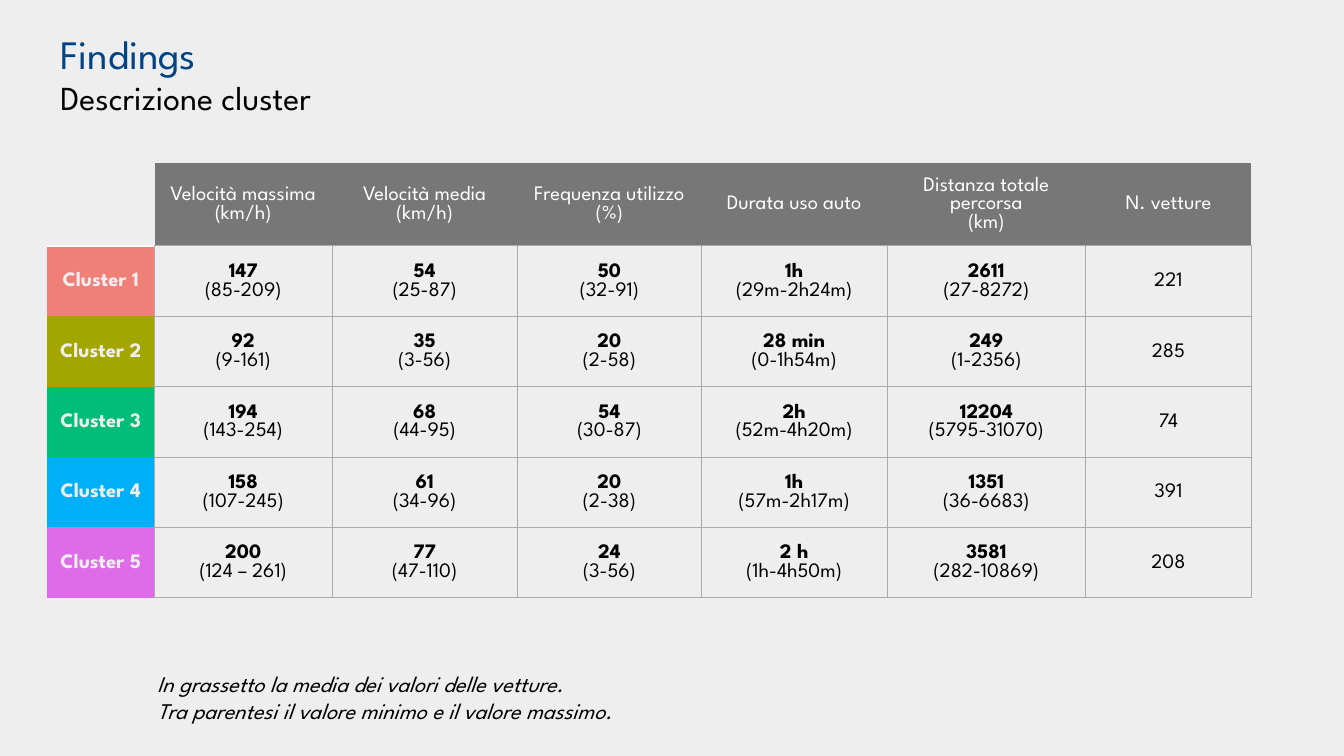
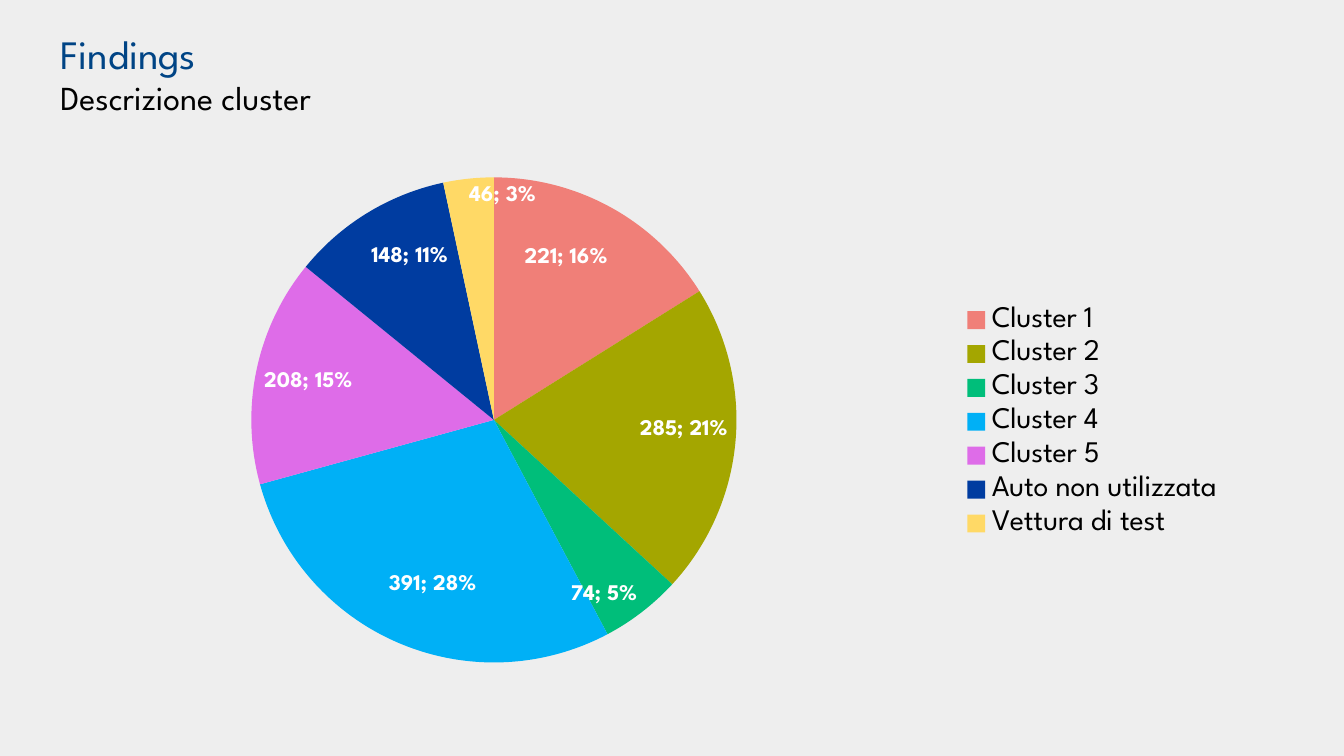
from dataclasses import dataclass

from lxml import etree
from pptx import Presentation
from pptx import util as u
from pptx.chart import data as chart_data
from pptx.dml import color
from pptx.enum import chart as charts
from pptx.enum import text
from pptx.oxml import ns


@dataclass(frozen=True)
class Theme:
    font: str = "League Spartan"
    chart_font: str = "Arial"
    background: str = "EEEEEE"
    heading: str = "004485"
    ink: str = "000000"
    white: str = "FFFFFF"
    header: str = "777777"
    grid: str = "AEAAAA"
    clusters: tuple = ("F07F78", "A4A600", "00BE7A", "00B0F6", "DE6CE8")
    unused: str = "003CA0"
    test: str = "FFD966"
    title_size: float = 21.6
    subtitle_size: float = 18
    cell_size: float = 11
    note_size: float = 12
    label_size: float = 12
    legend_size: float = 16
    chart_size: float = 10


CLUSTERS = [f"Cluster {number}" for number in range(1, 6)]
VEHICLES = [221, 285, 74, 391, 208]
HEADERS = [
    ["Velocità massima (km/h)"],
    ["Velocità media", "(km/h)"],
    ["Frequenza utilizzo", "(%)"],
    ["Durata uso auto"],
    ["Distanza totale percorsa", "(km)"],
    ["N. vetture"],
]
STATISTICS = [
    [("147", "(85-209)"), ("54", "(25-87)"), ("50", "(32-91)"),
     ("1h", "(29m-2h24m)"), ("2611", "(27-8272)")],
    [("92", "(9-161)"), ("35", "(3-56)"), ("20", "(2-58)"),
     ("28 min", "(0-1h54m)"), ("249", "(1-2356)")],
    [("194", "(143-254)"), ("68", "(44-95)"), ("54", "(30-87)"),
     ("2h", "(52m-4h20m)"), ("12204", "(5795-31070)")],
    [("158", "(107-245)"), ("61", "(34-96)"), ("20", "(2-38)"),
     ("1h", "(57m-2h17m)"), ("1351", "(36-6683)")],
    [("200", "(124 – 261)"), ("77", "(47-110)"), ("24", "(3-56)"),
     ("2 h", "(1h-4h50m)"), ("3581", "(282-10869)")],
]
COLUMN_WIDTHS = [0.8, 1.32, 1.38, 1.37, 1.38, 1.48, 1.23]
TABLE_HEIGHT, HEADER_HEIGHT = 3.24, 0.62
ROW_HEIGHTS = [HEADER_HEIGHT] + [(TABLE_HEIGHT - HEADER_HEIGHT) / 5] * 5
PIE_LEFT, PIE_TOP, PIE_SIDE = 1.62, 0.24, 3.61
LABEL_SHIFTS = {0: (0, 0.06), 3: (-0.01, -0.07), 5: (0, 0.05)}
NO_GRID_STYLE = "{2D5ABB26-0587-4C30-8999-92F81FD0307C}"


def inches(*lengths):
    return [u.Inches(length) for length in lengths]


def manual_layout(**values):
    layout = etree.Element(ns.qn("c:layout"))
    manual = etree.SubElement(layout, ns.qn("c:manualLayout"))
    for name, value in values.items():
        etree.SubElement(manual, ns.qn(f"c:{name}")).set("val", str(value))
    return layout


class Deck:
    def __init__(self, theme):
        self.theme = theme
        self.deck = Presentation()
        self.deck.slide_width = u.Inches(10)
        self.deck.slide_height = self.deck.slide_width * 9 // 16
        self.paint(self.deck.slide_master.background.fill, theme.background)
        self.page = None

    def paint(self, fill, shade):
        fill.solid()
        fill.fore_color.rgb = color.RGBColor.from_string(shade)

    def style(self, font, size, shade, name=None, bold=None, italic=None):
        font.name = name or self.theme.font
        font.size = u.Pt(size)
        font.color.rgb = color.RGBColor.from_string(shade)
        font.bold = bold
        font.italic = italic

    def span(self, para, words, size, shade, **emphasis):
        span = para.add_run()
        span.text = words
        self.style(span.font, size, shade, **emphasis)

    def add_page(self, title, subtitle):
        theme = self.theme
        self.page = self.deck.slides.add_slide(self.deck.slide_layouts[5])
        box = self.page.shapes.title
        box.left, box.top, box.width, box.height = inches(0.35, 0.33, 5.64, 0.43)
        frame = box.text_frame
        frame.word_wrap = True
        frame.auto_size = text.MSO_AUTO_SIZE.NONE
        frame.vertical_anchor = text.MSO_ANCHOR.MIDDLE
        para = frame.paragraphs[0]
        para.alignment = text.PP_ALIGN.LEFT
        self.span(para, title, theme.title_size, theme.heading)
        para.add_line_break()
        for line_break in box.element.iter(ns.qn("a:br")):
            props = etree.SubElement(line_break, ns.qn("a:rPr"))
            props.set("sz", str(round(theme.title_size * 100)))
            etree.SubElement(props, ns.qn("a:latin")).set("typeface", theme.font)
        self.span(para, subtitle, theme.subtitle_size, theme.ink)

    def note(self, place, lines):
        box = self.page.shapes.add_textbox(*inches(*place))
        frame = box.text_frame
        frame.word_wrap = True
        for index, line in enumerate(lines):
            para = frame.add_paragraph() if index else frame.paragraphs[0]
            self.span(para, line, self.theme.note_size, self.theme.ink, italic=True)

    def borders(self, cell, **sides):
        props = cell._tc.get_or_add_tcPr()
        for index, side in enumerate("LRTB"):
            line = etree.Element(ns.qn(f"a:ln{side}"))
            if side in sides:
                shade, width = sides[side]
                line.set("w", str(u.Pt(width)))
                fill = etree.SubElement(line, ns.qn("a:solidFill"))
                etree.SubElement(fill, ns.qn("a:srgbClr")).set("val", shade)
            else:
                line.set("w", "0")
                etree.SubElement(line, ns.qn("a:noFill"))
            props.insert(index, line)

    def cell(self, cell, lines, fill, shade, bold_first=False, **sides):
        cell.vertical_anchor = text.MSO_ANCHOR.MIDDLE
        cell.margin_left = cell.margin_right = cell.margin_top = u.Inches(0.01)
        cell.margin_bottom = 0
        self.paint(cell.fill, fill)
        self.borders(cell, **sides)
        for index, line in enumerate(lines):
            para = cell.text_frame.add_paragraph() if index else cell.text_frame.paragraphs[0]
            para.alignment = text.PP_ALIGN.CENTER
            self.span(para, line, self.theme.cell_size, shade,
                      bold=bold_first and index == 0)

    def cluster_table(self, left, top):
        theme = self.theme
        place = inches(left, top, sum(COLUMN_WIDTHS), TABLE_HEIGHT)
        frame = self.page.shapes.add_table(len(ROW_HEIGHTS), len(COLUMN_WIDTHS), *place)
        table = frame.table
        table.first_row = table.horz_banding = False
        for style_id in frame.element.iter(ns.qn("a:tableStyleId")):
            style_id.text = NO_GRID_STYLE
        for column, width in zip(table.columns, COLUMN_WIDTHS):
            column.width = u.Inches(width)
        for row, height in zip(table.rows, ROW_HEIGHTS):
            row.height = u.Inches(height)

        grid, edge = (theme.grid, 0.5), (theme.white, 1)
        self.cell(table.cell(0, 0), [], theme.background, theme.ink, B=edge)
        for column, lines in enumerate(HEADERS, 1):
            self.cell(table.cell(0, column), lines, theme.header, theme.white, B=grid)
        rows = zip(CLUSTERS, theme.clusters, STATISTICS, VEHICLES)
        for row, (name, fill, statistics, vehicles) in enumerate(rows, 1):
            sides = {"R": grid, "T": edge} if row == 1 else {"R": grid}
            self.cell(table.cell(row, 0), [name], fill, theme.background, True, **sides)
            for column, lines in enumerate([*statistics, (str(vehicles),)], 1):
                self.cell(table.cell(row, column), lines, theme.background, theme.ink,
                          len(lines) > 1, **dict.fromkeys("LRTB", grid))

    def cluster_pie(self, place):
        theme = self.theme
        source = chart_data.CategoryChartData()
        source.categories = CLUSTERS + ["Auto non utilizzata", "Vettura di test"]
        source.add_series("Series 1", VEHICLES + [148, 46])
        chart = self.page.shapes.add_chart(
            charts.XL_CHART_TYPE.PIE, *inches(*place), source).chart
        chart.has_title = False
        self.style(chart.font, theme.chart_size, theme.white, name=theme.chart_font)
        plot = chart.plots[0]
        plot.vary_by_categories = True
        series = plot.series[0]
        for index, shade in enumerate([*theme.clusters, theme.unused, theme.test]):
            piece = series.points[index].format
            self.paint(piece.fill, shade)
            piece.line.fill.background()
        self.pie_labels(chart, series)

        chart.has_legend = True
        legend = chart.legend
        legend.position = charts.XL_LEGEND_POSITION.RIGHT
        legend.include_in_layout = False
        self.style(legend.font, theme.legend_size, theme.ink)
        root = chart.element
        for old in root.xpath(".//c:plotArea/c:layout | .//c:legend/c:layout"):
            old.getparent().remove(old)
        width, height = place[2:]
        root.xpath(".//c:plotArea")[0].insert(0, manual_layout(
            layoutTarget="inner", xMode="edge", yMode="edge",
            x=PIE_LEFT / width, y=PIE_TOP / height,
            w=PIE_SIDE / width, h=PIE_SIDE / height))
        root.xpath(".//c:legendPos")[0].addnext(manual_layout(
            xMode="edge", yMode="edge", x=0.77, y=0.28, w=0.22, h=0.44))

    def pie_labels(self, chart, series):
        theme = self.theme
        inside = charts.XL_LABEL_POSITION.INSIDE_END
        labels = series.data_labels
        labels.show_value = labels.show_percentage = True
        moved = [series.points[index].data_label for index in LABEL_SHIFTS]
        for label in [labels, *moved]:
            label.position = inside
            self.style(label.font, theme.label_size, theme.white, bold=True)
        root = chart.element
        for label in root.xpath(".//c:dLbl"):
            index = label.find(ns.qn("c:idx"))
            across, down = LABEL_SHIFTS[int(index.get("val"))]
            index.addnext(manual_layout(x=across, y=down))
            label.find(ns.qn("c:showPercent")).set("val", "1")
        for last in root.xpath(".//c:ser//c:showBubbleSize"):
            separator = etree.Element(ns.qn("c:separator"))
            separator.text = "; "
            last.addnext(separator)

    def save(self):
        self.deck.save("out.pptx")


def main():
    deck = Deck(Theme())
    heading = ("Findings", "Descrizione cluster")
    deck.add_page(*heading)
    deck.cluster_table(0.35, 1.21)
    deck.note((1.07, 4.94, 4.39, 0.5), [
        "In grassetto la media dei valori delle vetture.",
        "Tra parentesi il valore minimo e il valore massimo.",
    ])
    deck.add_page(*heading)
    deck.cluster_pie((0.25, 1.08, 8.95, 4.12))
    deck.save()


if __name__ == "__main__":
    main()
